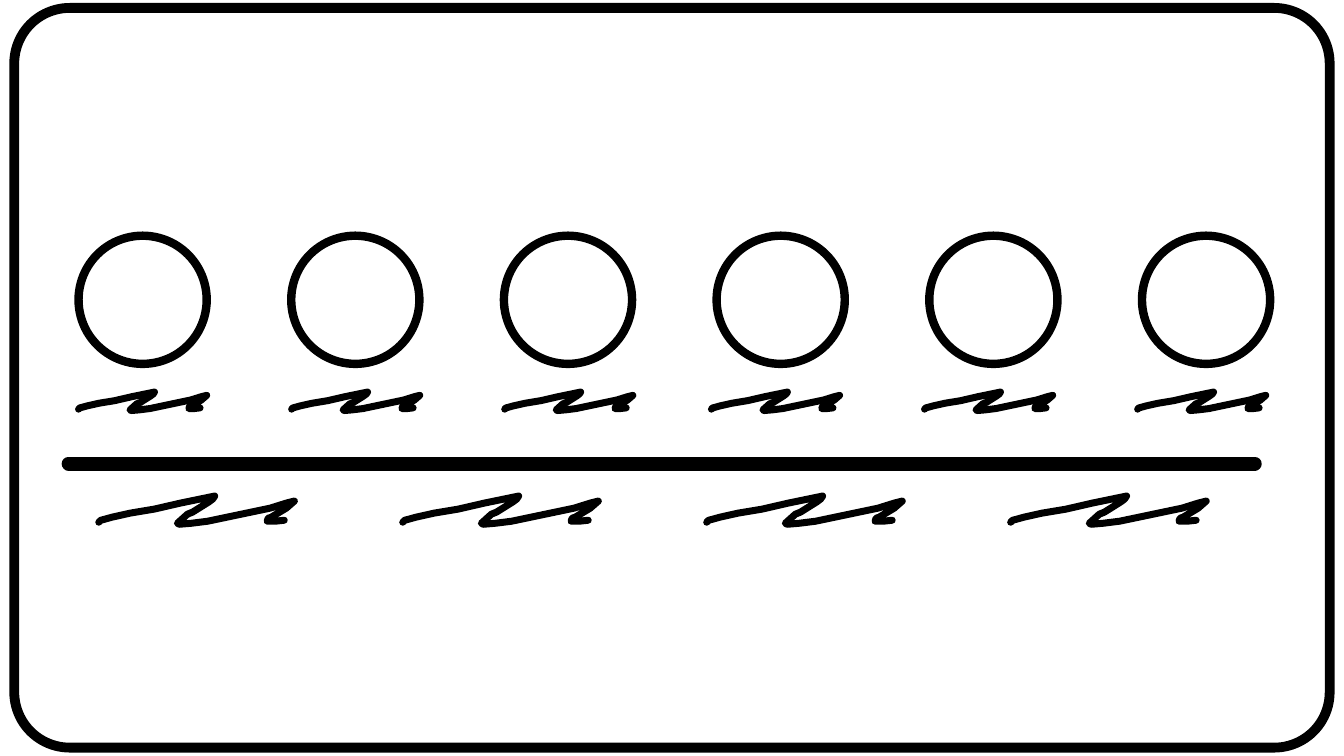
import pptx
import pptx.util
import pptx.dml.color
import pptx.enum.shapes
import pptx.oxml.ns
import lxml.etree

Cm = pptx.util.Cm
COLORS = {"ink": "000000", "paper": "FFFFFF"}

# Content: lengths in centimetres, line widths in points
SLIDE_SIZE = (33.87, 19.05)
FRAME = {"box": (0.36, 0.2, 33.15, 18.64), "corner": 0.075, "weight": 7}
CIRCLES = {"left": 1.98, "top": 5.94, "size": 3.23, "step": 5.36, "count": 6, "weight": 6}
DIVIDER = {"left": 1.73, "right": 31.62, "y": 11.68, "weight": 10}
SCRIBBLE_ROWS = [
    {"left": 1.98, "top": 9.88, "width": 3.23, "step": 5.37, "count": 3},
    {"left": 17.93, "top": 9.88, "width": 3.23, "step": 5.37, "count": 3},
    {"left": 2.49, "top": 12.5, "width": 4.93, "step": 7.66, "count": 4},
]
SCRIBBLE_WEIGHT = 5
SCRIBBLE_UNITS = 194  # width of the pen stroke in its own units
SCRIBBLE = [
    (0, 26), (2, 24), (6, 23), (13, 21), (31, 17), (55, 13), (81, 7), (115, 0),
    (113, 3), (109, 6), (93, 16), (88, 18), (78, 27), (80, 28), (92, 27),
    (108, 25), (170, 12), (186, 7), (194, 5), (186, 12), (171, 21), (168, 22),
    (167, 25), (170, 25), (175, 25), (184, 24),
]

presentation = pptx.Presentation()
presentation.slide_width, presentation.slide_height = map(Cm, SLIDE_SIZE)
slide = presentation.slides.add_slide(presentation.slide_layouts[6])
slide.background.fill.solid()
slide.background.fill.fore_color.rgb = pptx.dml.color.RGBColor.from_string(COLORS["paper"])


def draw_line(line, weight, rounded=False):
    line.color.rgb = pptx.dml.color.RGBColor.from_string(COLORS["ink"])
    line.width = pptx.util.Pt(weight)
    if rounded:
        outline = line.fill._xPr.find(pptx.oxml.ns.qn("a:ln"))
        if outline is None:
            outline = line.fill._xPr
        outline.set("cap", "rnd")
        lxml.etree.SubElement(outline, pptx.oxml.ns.qn("a:round"))


def draw_outline(shape, weight, rounded=False):
    shape.shadow.inherit = False
    shape.fill.background()
    draw_line(shape.line, weight, rounded)


def add_outline(kind, box, weight):
    shape = slide.shapes.add_shape(kind, *map(Cm, box))
    draw_outline(shape, weight)
    return shape


def add_scribble(left, top, width):
    builder = slide.shapes.build_freeform(*SCRIBBLE[0], scale=Cm(width) / SCRIBBLE_UNITS)
    builder.add_line_segments(SCRIBBLE[1:], close=False)
    draw_outline(builder.convert_to_shape(Cm(left), Cm(top)), SCRIBBLE_WEIGHT, rounded=True)


# Divider
divider = slide.shapes.add_connector(
    pptx.enum.shapes.MSO_CONNECTOR.STRAIGHT,
    Cm(DIVIDER["left"]), Cm(DIVIDER["y"]), Cm(DIVIDER["right"]), Cm(DIVIDER["y"]))
draw_line(divider.line, DIVIDER["weight"], rounded=True)
lxml.etree.SubElement(divider._element.spPr, pptx.oxml.ns.qn("a:effectLst"))

# Scribbles under the circles and under the divider
for row in SCRIBBLE_ROWS:
    for index in range(row["count"]):
        add_scribble(row["left"] + index * row["step"], row["top"], row["width"])

# Frame
frame = add_outline(pptx.enum.shapes.MSO_SHAPE.ROUNDED_RECTANGLE, FRAME["box"], FRAME["weight"])
frame.adjustments[0] = FRAME["corner"]

# Circles
for index in range(CIRCLES["count"]):
    circle_left = CIRCLES["left"] + index * CIRCLES["step"]
    add_outline(pptx.enum.shapes.MSO_SHAPE.OVAL,
                (circle_left, CIRCLES["top"], CIRCLES["size"], CIRCLES["size"]),
                CIRCLES["weight"])

presentation.save("out.pptx")
